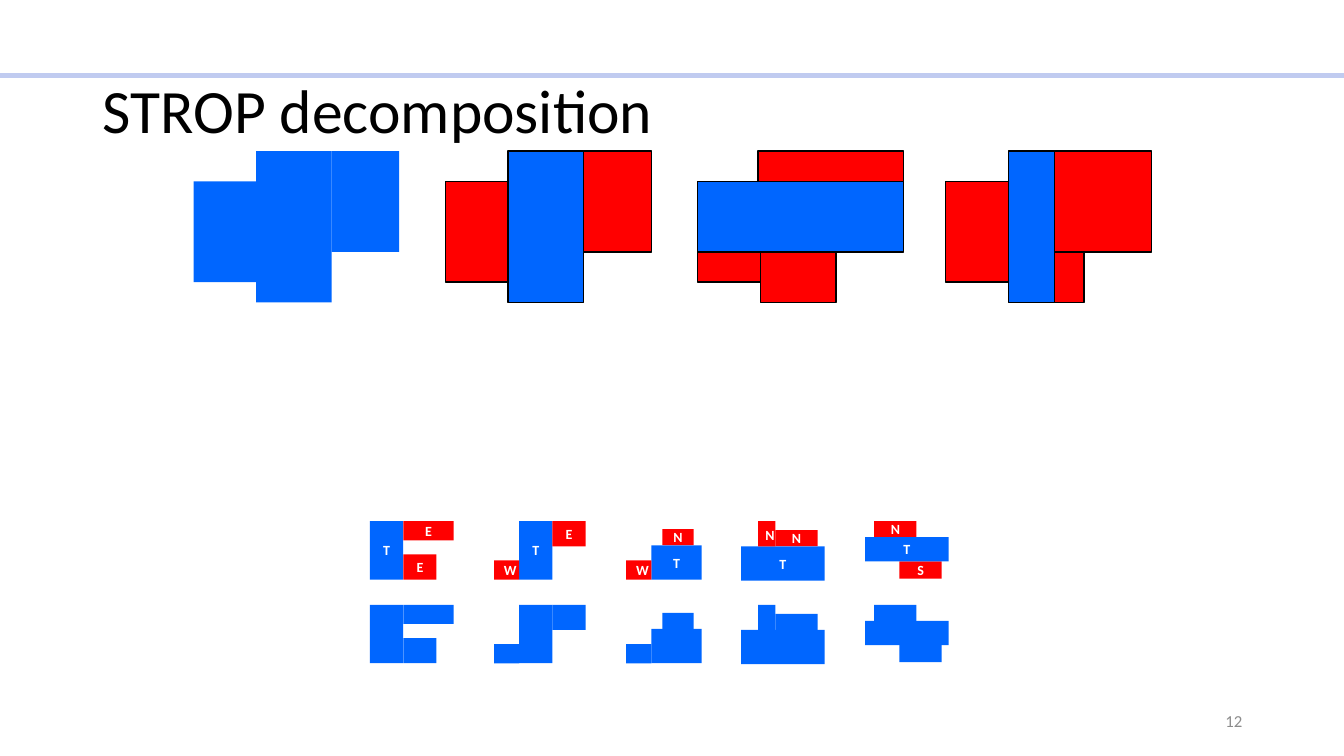
import pptx
import pptx.util
import pptx.dml.color
import pptx.enum.shapes
import pptx.enum.text
from pptx.util import Inches, Pt

BLUE, RED, BLACK, WHITE = "0066FF", "FF0000", "000000", "FFFFFF"
ALIGN = pptx.enum.text.PP_ALIGN
MIDDLE = pptx.enum.text.MSO_ANCHOR.MIDDLE


def add_run(tf, text, size, color, align, bold=False):
    p = tf.paragraphs[0]
    p.alignment = align
    r = p.add_run()
    r.text = text
    r.font.name = "Calibri"
    r.font.size = Pt(size)
    r.font.bold = bold
    r.font.color.rgb = pptx.dml.color.RGBColor.from_string(color)
    return p


def add_block(group, x, y, w, h, fill, outlined=False):
    sp = group.shapes.add_shape(pptx.enum.shapes.MSO_SHAPE.RECTANGLE,
                                Inches(x), Inches(y), Inches(w), Inches(h))
    sp.shadow.inherit = False
    sp.fill.solid()
    sp.fill.fore_color.rgb = pptx.dml.color.RGBColor.from_string(fill)
    if outlined:
        sp.line.color.rgb = pptx.dml.color.RGBColor.from_string(BLACK)
        sp.line.width = Pt(1)
    else:
        sp.line.fill.background()
    return sp


prs = pptx.Presentation()
prs.slide_width, prs.slide_height = Inches(13.33), Inches(7.5)
s = prs.slides.add_slide(prs.slide_layouts[6])

# Header rule
rule = s.shapes.add_connector(pptx.enum.shapes.MSO_CONNECTOR.STRAIGHT,
                              0, Inches(0.75), prs.slide_width, Inches(0.75))
rule.line.color.rgb = pptx.dml.color.RGBColor.from_string("C0CBF0")
rule.line.width = Pt(4)
rule._element.spPr.append(pptx.oxml.parse_xml(
    '<a:effectLst xmlns:a="http://schemas.openxmlformats.org/drawingml/2006/main"/>'))

# Title and page number
for text, box, size, color, align, spacing in [
    ("STROP decomposition", (0.92, 0.4, 11.5, 1.45), 44, BLACK, ALIGN.LEFT, 0.9),
    ("12", (9.42, 6.95, 3, 0.4), 12, "8C8C8C", ALIGN.RIGHT, 1.0),
]:
    tf = s.shapes.add_textbox(*[Inches(v) for v in box]).text_frame
    tf.word_wrap = True
    tf.vertical_anchor = MIDDLE
    p = add_run(tf, text, size, color, align)
    p.line_spacing = spacing

# Labelled decompositions: T is the trunk, N/E/S/W are the branches
decompositions = [
    [("T", 3.67, 5.17, 0.33, 0.58), ("E", 4, 5.5, 0.33, 0.25), ("E", 4, 5.17, 0.5, 0.19)],
    [("T", 5.15, 5.17, 0.33, 0.58), ("E", 5.48, 5.17, 0.33, 0.25), ("W", 4.9, 5.56, 0.25, 0.19)],
    [("T", 6.46, 5.41, 0.5, 0.34), ("N", 6.57, 5.25, 0.31, 0.16), ("W", 6.21, 5.56, 0.25, 0.19)],
    [("T", 7.35, 5.42, 0.83, 0.34), ("N", 7.52, 5.17, 0.17, 0.25), ("N", 7.69, 5.26, 0.42, 0.16)],
    [("N", 8.67, 5.17, 0.42, 0.16), ("S", 8.92, 5.57, 0.42, 0.17), ("T", 8.58, 5.33, 0.83, 0.24)],
]
labelled = s.shapes.add_group_shape()
outlines = s.shapes.add_group_shape()
OUTLINE_DROP = 0.83
for blocks in decompositions:
    for label, x, y, w, h in blocks:
        sp = add_block(labelled, x, y, w, h, BLUE if label == "T" else RED)
        sp.text_frame.vertical_anchor = MIDDLE
        if w < 0.2:
            sp.text_frame.vertical_anchor = pptx.enum.text.MSO_ANCHOR.TOP
        add_run(sp.text_frame, label, 10, WHITE, ALIGN.CENTER, True)
        # Same polygon without its decomposition
        add_block(outlines, x, y + OUTLINE_DROP, w, h, BLUE)

# One polygon and three ways to split it
splits = s.shapes.add_group_shape()
for x, y, w, h, fill, outlined in [
    # Undivided polygon
    (2.54, 1.5, 0.75, 1.5, BLUE, False),
    (3.29, 1.5, 0.67, 1, BLUE, False),
    (1.92, 1.8, 0.67, 1, BLUE, False),
    # Vertical trunk
    (4.42, 1.8, 0.62, 1, RED, True),
    (5.04, 1.5, 0.75, 1.5, BLUE, True),
    (5.79, 1.5, 0.67, 1, RED, True),
    # Horizontal trunk
    (6.92, 2.5, 0.62, 0.3, RED, True),
    (7.52, 1.5, 1.44, 0.3, RED, True),
    (7.54, 2.5, 0.75, 0.5, RED, True),
    (6.92, 1.8, 2.04, 0.7, BLUE, True),
    # Narrow vertical trunk
    (9.38, 1.8, 0.62, 1, RED, True),
    (10, 1.5, 0.46, 1.5, BLUE, True),
    (10.46, 1.5, 0.96, 1, RED, True),
    (10.46, 2.5, 0.29, 0.5, RED, True),
]:
    add_block(splits, x, y, w, h, fill, outlined)

prs.save("out.pptx")
